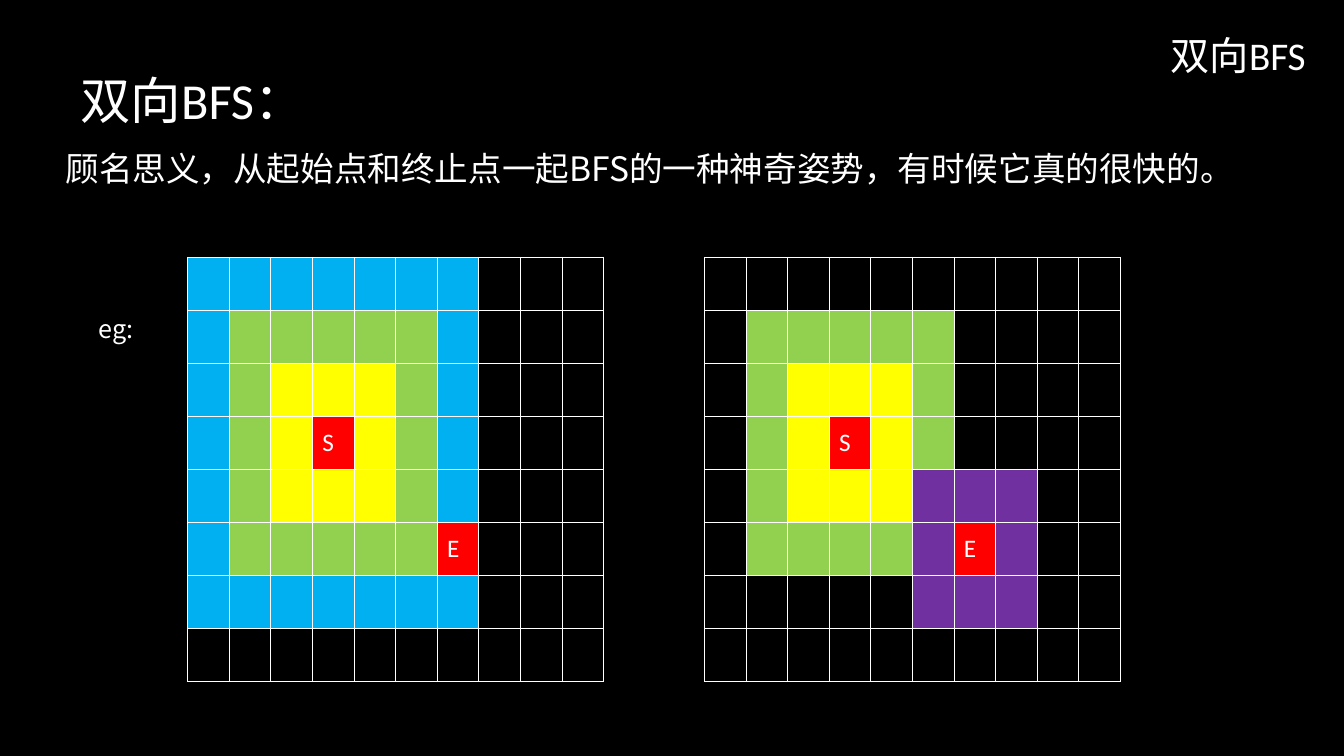
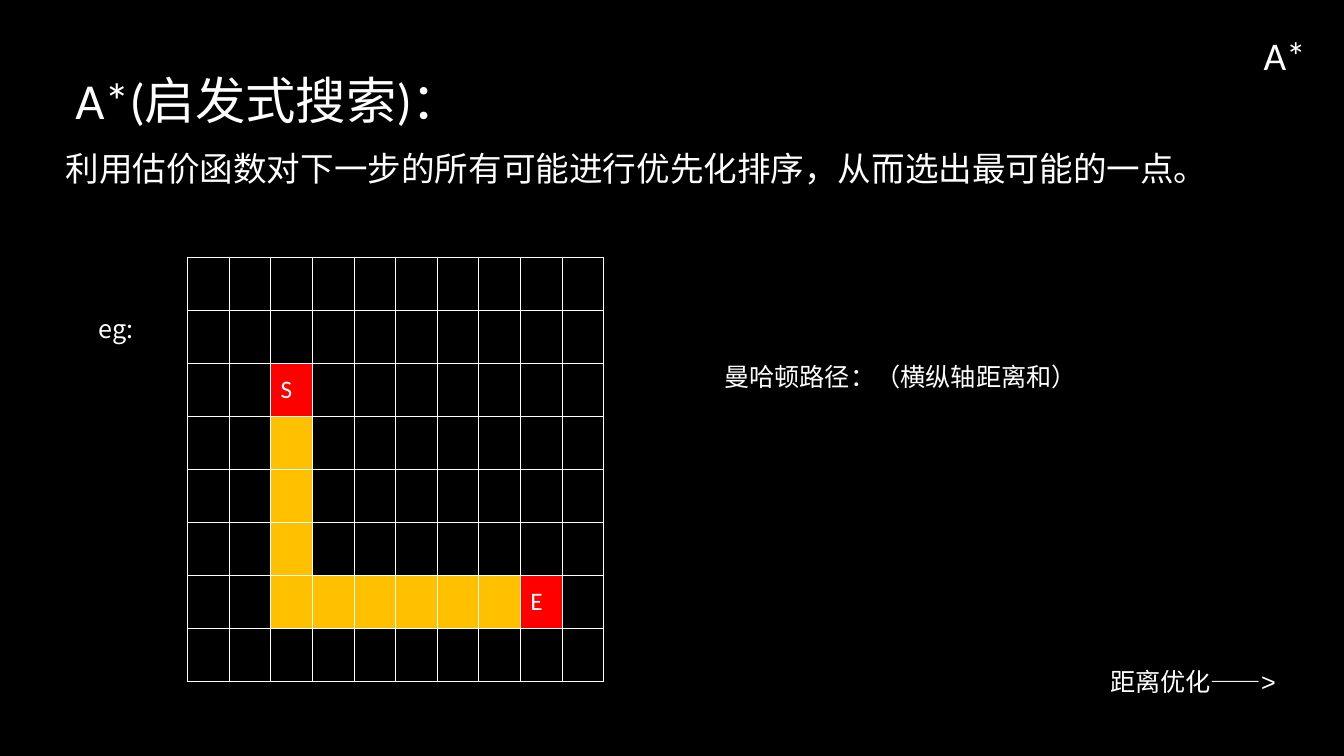
import lxml.etree
import pptx
import pptx.dml.color
import pptx.enum.text
import pptx.oxml.ns
import pptx.util

Inches = pptx.util.Inches
qn = pptx.oxml.ns.qn
PP_ALIGN = pptx.enum.text.PP_ALIGN
MSO_ANCHOR = pptx.enum.text.MSO_ANCHOR
MSO_AUTO_SIZE = pptx.enum.text.MSO_AUTO_SIZE

CJK_FONT = "Noto Sans CJK SC"
COLORS = {"text": "FFFFFF", "ground": "000000"}
CELL_COLORS = {
    ".": "000000",
    "b": "00B0F0",
    "g": "92D050",
    "y": "FFFF00",
    "p": "7030A0",
    "o": "FFC000",
    "S": "FF0000",
    "E": "FF0000",
}

TOPICS = [
    {
        "title": "双向BFS",
        "heading": ("双向BFS：", 0.7, 2.67),
        "summary": "顾名思义，从起始点和终止点一起BFS的一种神奇姿势，有时候它真的很快的。",
        "grids": [
            (1.86, """
                bbbbbbb...
                bgggggb...
                bgyyygb...
                bgySygb...
                bgyyygb...
                bgggggE...
                bbbbbbb...
                ..........
            """),
            (6.99, """
                ..........
                .ggggg....
                .gyyyg....
                .gySyg....
                .gyyyppp..
                .ggggpEp..
                .....ppp..
                ..........
            """),
        ],
        "notes": [],
    },
    {
        "title": "A*",
        "heading": ("A*(启发式搜索)：", 0.65, 4.4),
        "summary": "利用估价函数对下一步的所有可能进行优先化排序，从而选出最可能的一点。",
        "grids": [
            (1.86, """
                ..........
                ..........
                ..S.......
                ..o.......
                ..o.......
                ..o.......
                ..ooooooE.
                ..........
            """),
        ],
        "notes": [
            ([("曼哈顿路径：（横纵轴距离和", "Calibri"), ("）", "Arial")], (7.09, 3.54, 5.6, 0.7), True),
            ([("距离优化——>", "Arial")], (10.92, 6.56, 1.9, 0.4), False),
        ],
    },
]


def write(frame, text, size=18, font="Calibri", align=PP_ALIGN.LEFT, spacing=1.0):
    paragraph = frame.paragraphs[0]
    paragraph.alignment = align
    paragraph.line_spacing = spacing
    paragraph.space_before = pptx.util.Pt(0)
    run = paragraph.add_run()
    run.text = text
    run.font.size = pptx.util.Pt(size)
    run.font.name = font
    run.font.color.rgb = pptx.dml.color.RGBColor.from_string(COLORS["text"])
    east_asian = lxml.etree.SubElement(run.font._element, qn("a:ea"))
    east_asian.set("typeface", CJK_FONT)


def place(shape, left, top, width, height):
    shape.left, shape.top = Inches(left), Inches(top)
    shape.width, shape.height = Inches(width), Inches(height)
    shape.text_frame.auto_size = MSO_AUTO_SIZE.NONE
    return shape.text_frame


deck = pptx.Presentation()
deck.slide_width = Inches(13.34)
deck.slide_height = Inches(7.5)
ground = deck.slide_master.background.fill
ground.solid()
ground.fore_color.rgb = pptx.dml.color.RGBColor.from_string(COLORS["ground"])

for topic in TOPICS:
    slide = deck.slides.add_slide(deck.slide_layouts[1])

    title = place(slide.shapes.title, 0.92, 0.23, 12.14, 0.69)
    title.vertical_anchor = MSO_ANCHOR.MIDDLE
    write(title, topic["title"], size=28, align=PP_ALIGN.RIGHT, spacing=0.9)

    summary = place(slide.placeholders[1], 0.55, 1.46, 12.26, 1.54)
    summary_format = summary.paragraphs[0]._p.get_or_add_pPr()
    summary_format.set("marL", "0")
    summary_format.set("indent", "0")
    lxml.etree.SubElement(summary_format, qn("a:buNone"))
    write(summary, topic["summary"], size=24, font=CJK_FONT, spacing=0.9)

    heading_text, heading_left, heading_width = topic["heading"]
    labels = [
        ([(heading_text, "Calibri")], (heading_left, 0.64, heading_width, 0.7), False, 36),
        ([("eg:", CJK_FONT)], (0.88, 3.06, 0.65, 0.7), False, 18),
    ]
    labels += [(*note, 18) for note in topic["notes"]]
    for parts, box, wrap, size in labels:
        label = slide.shapes.add_textbox(*map(Inches, box)).text_frame
        label.word_wrap = wrap
        for text, font in parts:
            write(label, text, size=size, font=font)

    for left, pattern in topic["grids"]:
        rows = pattern.split()
        grid = slide.shapes.add_table(
            len(rows), len(rows[0]), Inches(left), Inches(2.55), Inches(4.13), Inches(4.21)
        ).table
        grid.first_row = False
        grid.horz_banding = False
        for row_index, row in enumerate(rows):
            for column_index, mark in enumerate(row):
                cell = grid.cell(row_index, column_index)
                cell.vertical_anchor = MSO_ANCHOR.MIDDLE
                for side in ("lnL", "lnR", "lnT", "lnB"):
                    border = lxml.etree.SubElement(cell._tc.get_or_add_tcPr(), qn(f"a:{side}"))
                    border.set("w", str(pptx.util.Pt(0.45)))
                    line_fill = lxml.etree.SubElement(border, qn("a:solidFill"))
                    lxml.etree.SubElement(line_fill, qn("a:srgbClr")).set("val", COLORS["text"])
                cell.fill.solid()
                cell.fill.fore_color.rgb = pptx.dml.color.RGBColor.from_string(CELL_COLORS[mark])
                if mark in "SE":
                    write(cell.text_frame, mark)

deck.save("out.pptx")
